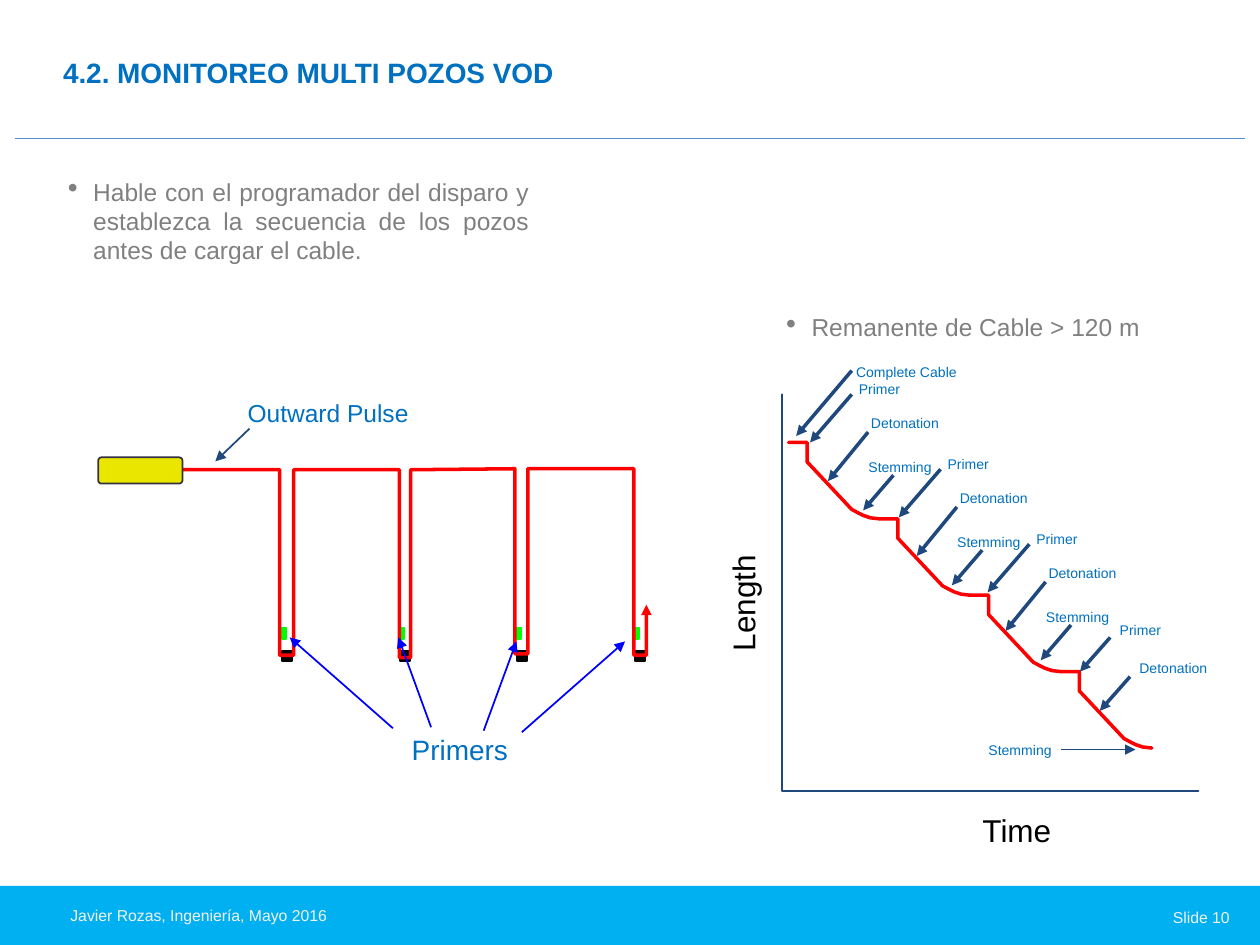
import dataclasses

import lxml.etree
import pptx
import pptx.dml.color
import pptx.enum.shapes
import pptx.enum.text
import pptx.oxml.ns
import pptx.util

Cm = pptx.util.Cm
Pt = pptx.util.Pt
Align = pptx.enum.text.PP_ALIGN
Shape = pptx.enum.shapes.MSO_SHAPE


@dataclasses.dataclass(frozen=True)
class Theme:
    font: str = "Arial"
    heading: str = "0070C0"
    body: str = "808080"
    black: str = "000000"
    bar: str = "00B0F0"
    rule: str = "558ED5"
    footer: str = "F2F2F2"
    navy: str = "1F497D"
    red: str = "FF0000"
    blue: str = "0000FF"
    green: str = "00FF00"
    device: str = "EBE600"
    outline: str = "323141"
    title_size: int = 16
    body_size: int = 14
    axis_size: int = 18
    label_size: int = 8
    footer_size: int = 9


def rgb(color):
    return pptx.dml.color.RGBColor.from_string(color)


def child(parent, tag, **attributes):
    element = lxml.etree.SubElement(parent, pptx.oxml.ns.qn(tag))
    for name, value in attributes.items():
        element.set(name, value)
    return element


class Deck:
    def __init__(self, theme):
        self.theme = theme
        self.prs = pptx.Presentation()
        self.prs.slide_width, self.prs.slide_height = Cm(25.4), Cm(19.05)
        self.s = self.prs.slides.add_slide(self.prs.slide_layouts[5])

    def style_text(self, tf, text, size, color, align, margins=(0, 0), bold=False):
        tf.text = text
        tf.margin_left = tf.margin_right = Cm(margins[0])
        tf.margin_top = tf.margin_bottom = Cm(margins[1])
        p = tf.paragraphs[0]
        p.alignment = align
        font = p.runs[0].font
        font.name, font.size, font.bold = self.theme.font, Pt(size), bold
        font.color.rgb = rgb(color)
        return p

    def title(self, text, x, y, w, h):
        sp = self.s.shapes.title
        sp.left, sp.top, sp.width, sp.height = Cm(x), Cm(y), Cm(w), Cm(h)
        tf = sp.text_frame
        p = self.style_text(tf, text, self.theme.title_size, self.theme.heading,
                            Align.LEFT, bold=True)
        tf.vertical_anchor = pptx.enum.text.MSO_ANCHOR.MIDDLE
        p.line_spacing = 0.83

    def text(self, text, x, y, w, h, size, color, align, margins=(0, 0), wrap=True):
        sp = self.s.shapes.add_textbox(Cm(x), Cm(y), Cm(w), Cm(h))
        sp.text_frame.word_wrap = wrap
        self.style_text(sp.text_frame, text, size, color, align, margins)
        return sp

    def label(self, text, x, y, w, h, size, color):
        return self.text(text, x, y, w, h, size, color, Align.CENTER, (0.23, 0.13), False)

    def bullet(self, text, x, y):
        sp = self.text(text, x, y, 9.8, 2.74, self.theme.body_size, self.theme.body,
                       Align.JUSTIFY, (0.25, 0.13))
        p = sp.text_frame.paragraphs[0]
        p.space_after = Pt(3)
        pPr = p._p.get_or_add_pPr()
        pPr.set("marL", str(Cm(0.51)))
        pPr.set("indent", str(-Cm(0.51)))
        child(pPr, "a:buSzPct", val="120000")
        child(pPr, "a:buChar", char="•")

    def box(self, x, y, w, h, fill, line=None, kind=Shape.RECTANGLE):
        sp = self.s.shapes.add_shape(kind, Cm(x), Cm(y), Cm(w), Cm(h))
        sp.shadow.inherit = False
        sp.fill.solid()
        sp.fill.fore_color.rgb = rgb(fill)
        if line:
            self.stroke(sp, line, 1)
        else:
            sp.line.fill.background()
        return sp

    def stroke(self, sp, color, width, arrow=False):
        sp.line.color.rgb = rgb(color)
        sp.line.width = Pt(width)
        if arrow:
            child(sp.line._get_or_add_ln(), "a:tailEnd", type="triangle")

    def line(self, start, end, color, width, arrow=True):
        sp = self.s.shapes.add_connector(pptx.enum.shapes.MSO_CONNECTOR.STRAIGHT,
                                         *map(Cm, start + end))
        self.stroke(sp, color, width, arrow)
        child(sp._element.spPr, "a:effectLst")

    def polyline(self, points, color, width, arrow=False):
        corners = [(Cm(x), Cm(y)) for x, y in points]
        builder = self.s.shapes.build_freeform(*corners[0])
        builder.add_line_segments(corners[1:], close=False)
        sp = builder.convert_to_shape()
        sp.shadow.inherit = False
        sp.fill.background()
        self.stroke(sp, color, width, arrow)
        sp.line._get_or_add_ln().set("cap", "rnd")

    def callout(self, text, x, y, start, end, width=0):
        widths = {"Primer": 1.32, "Detonation": 1.85, "Stemming": 1.75, "Complete Cable": 2.51}
        self.label(text, x, y, widths[text], 0.58, self.theme.label_size, self.theme.heading)
        self.line(start, end, self.theme.navy, width)


def draw_frame(deck, t):
    deck.box(0, 17.86, 25.4, 1.19, t.bar)
    deck.line((0.3, 2.79), (25.1, 2.79), t.rule, 0.75, arrow=False)
    deck.title("4.2. MONITOREO MULTI POZOS VOD", 1.27, 0.76, 20.42, 1.5)
    deck.text("Javier Rozas, Ingeniería, Mayo 2016", 1.42, 18.26, 16.71, 0.51,
              t.footer_size, t.footer, Align.LEFT)
    deck.text("Slide 10", 18.87, 18.29, 5.92, 0.51, t.footer_size, t.footer, Align.RIGHT)
    deck.bullet("Hable con el programador del disparo y establezca la secuencia "
                "de los pozos antes de cargar el cable.", 1.12, 3.43)
    deck.bullet("Remanente de Cable > 120 m", 15.6, 6.17)


def draw_holes(deck, t):
    deck.label("Outward Pulse", 4.75, 7.9, 3.73, 0.84, t.body_size, t.heading)
    deck.line((5.03, 8.64), (4.34, 9.3), t.navy, 1)
    for hole in range(4):
        x = 5.69 + 2.37 * hole
        deck.box(x, 13.13, 0.2, 0.2, t.black, t.black)
        deck.box(x, 12.65, 0.08, 0.23, t.green, t.green)
    cable = [(3.68, 9.47)]
    for down, up, top, bottom, exit_top in (
        (5.64, 5.92, 9.47, 13.21, 9.47),
        (8.05, 8.28, 9.47, 13.26, 9.47),
        (10.38, 10.64, 9.45, 13.18, 9.45),
        (12.78, 13.03, 9.45, 13.21, 12.19),
    ):
        cable += [(down, top), (down, bottom), (up, bottom), (up, exit_top)]
    deck.polyline(cable, t.red, 2, arrow=True)
    device = deck.box(1.98, 9.22, 1.7, 0.53, t.device, t.outline, Shape.ROUNDED_RECTANGLE)
    device.adjustments[0] = 0.125
    deck.label("Primers", 8.05, 14.63, 2.44, 0.91, t.title_size, t.heading)
    for start, end in (
        ((7.92, 14.68), (5.84, 12.85)),
        ((8.69, 14.66), (8.03, 12.85)),
        ((9.75, 14.73), (10.41, 12.93)),
        ((10.52, 14.76), (12.6, 12.93)),
    ):
        deck.line(start, end, t.blue, 1)


def draw_graph(deck, t):
    deck.polyline([(15.77, 7.95), (15.77, 15.95), (24.16, 15.95)], t.navy, 1)
    profile = [(0, 0), (0.37, 0), (0.37, 0.39), (1.27, 1.35),
               (1.4, 1.42), (1.5, 1.47), (1.65, 1.52), (1.83, 1.54)]
    for hole in range(4):
        x, y = 15.9 + 1.83 * hole, 8.92 + 1.54 * hole
        deck.polyline([(x + dx, y + dy) for dx, dy in profile], t.red, 2)
    deck.label("Length", 13.74, 11.66, 2.44, 0.99, t.axis_size, t.black).rotation = 270
    deck.label("Time", 19.56, 16.21, 1.88, 0.99, t.axis_size, t.black)
    deck.callout("Complete Cable", 17.02, 7.19, (17.17, 7.47), (16.05, 8.79))
    for hole in range(3):
        dx, dy = 1.79 * hole, 1.51 * hole
        for text, *points in (
            ("Primer", (17.07, 7.54), (17.17, 7.95), (16.33, 8.92)),
            ("Detonation", (17.32, 8.23), (17.5, 8.71), (16.69, 9.7)),
            ("Stemming", (17.27, 9.12), (18.01, 9.58), (17.4, 10.29)),
        ):
            place, start, end = [(x + dx, y + dy) for x, y in points]
            deck.callout(text, *place, start, end)
    deck.callout("Primer", 22.33, 12.4, (22.38, 12.85), (21.77, 13.54))
    deck.callout("Detonation", 22.73, 13.16, (22.78, 13.64), (22.17, 14.33))
    deck.callout("Stemming", 19.69, 14.81, (21.39, 15.11), (22.89, 15.11), 1)


def main():
    theme = Theme()
    deck = Deck(theme)
    draw_frame(deck, theme)
    draw_holes(deck, theme)
    draw_graph(deck, theme)
    deck.prs.save("out.pptx")


if __name__ == "__main__":
    main()
